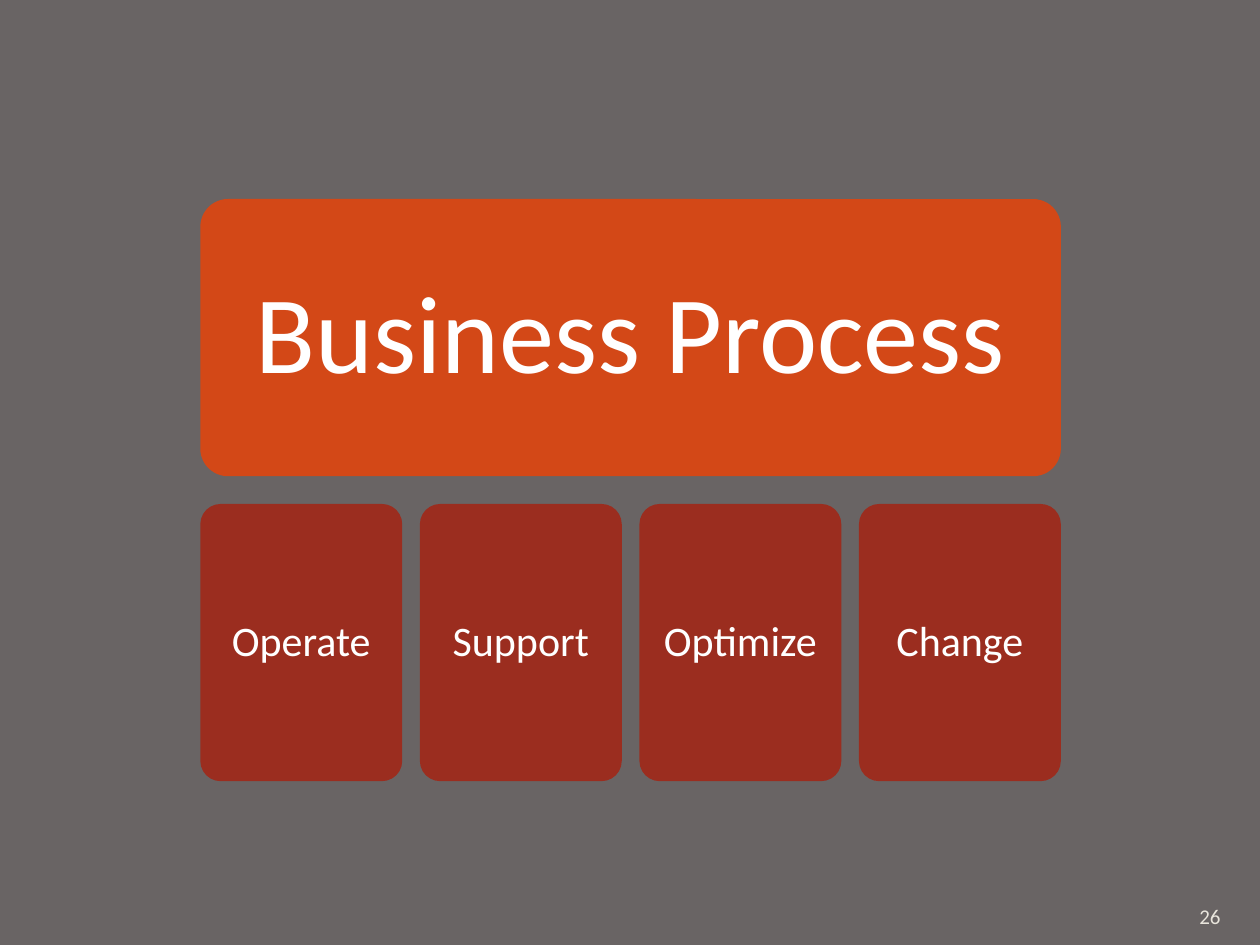
from pptx import Presentation
from pptx.dml.color import RGBColor
from pptx.enum.shapes import MSO_SHAPE
from pptx.enum.text import MSO_ANCHOR, PP_ALIGN
from pptx.util import Inches, Pt

GRAY = RGBColor(0x69, 0x64, 0x64)
ORANGE = RGBColor(0xD3, 0x48, 0x17)
RED = RGBColor(0x9B, 0x2D, 0x1F)
WHITE = RGBColor(0xFF, 0xFF, 0xFF)
CREAM = RGBColor(0xE9, 0xE5, 0xDC)
FONT = "Calibri"
ACTIVITIES = ["Operate", "Support", "Optimize", "Change"]


def format_text(para, size, color):
    """Format the runs of a paragraph."""
    for span in para.runs:
        span.font.name = FONT
        span.font.size = Pt(size)
        span.font.color.rgb = color


def add_card(page, box, label, fill, size, inset):
    """Add a rounded card with a centred label."""
    card = page.shapes.add_shape(MSO_SHAPE.ROUNDED_RECTANGLE, *box)
    card.adjustments[0] = 0.1
    card.shadow.inherit = False
    card.fill.solid()
    card.fill.fore_color.rgb = fill
    card.line.fill.background()

    frame = card.text_frame
    frame.word_wrap = True
    frame.vertical_anchor = MSO_ANCHOR.MIDDLE
    frame.margin_left = frame.margin_right = inset
    frame.margin_top = frame.margin_bottom = inset
    frame.text = label
    para = frame.paragraphs[0]
    para.alignment = PP_ALIGN.CENTER
    para.line_spacing = 0.9
    format_text(para, size, WHITE)


def add_process(page, left, top, width, height):
    """Fill the box with a header card above a row of activity cards."""
    row_gap, column_gap = Inches(0.22), Inches(0.14)
    row_height = (height - row_gap) // 2
    count = len(ACTIVITIES)
    card_width = (width - (count - 1) * column_gap) // count

    add_card(page, (left, top, width, row_height),
             "Business Process", ORANGE, 63, Inches(0.26))
    for index, activity in enumerate(ACTIVITIES):
        box = (left + index * (card_width + column_gap),
               top + row_height + row_gap, card_width, row_height)
        add_card(page, box, activity, RED, 24, Inches(0.1))


def add_page_number(page, left, top, width, height):
    """Add the page number in the corner."""
    frame = page.shapes.add_textbox(left, top, width, height).text_frame
    frame.word_wrap = True
    frame.vertical_anchor = MSO_ANCHOR.BOTTOM
    frame.text = "26"
    format_text(frame.paragraphs[0], 12, CREAM)


def main():
    deck = Presentation()
    deck.slide_width, deck.slide_height = Inches(10), Inches(7.5)
    page = deck.slides.add_slide(deck.slide_layouts[6])

    # Background
    page.background.fill.solid()
    page.background.fill.fore_color.rgb = GRAY

    # Content
    add_process(page, Inches(1.59), Inches(1.58), Inches(6.83), Inches(4.62))
    add_page_number(page, Inches(9.42), Inches(7.02), Inches(0.5), Inches(0.4))
    deck.save("out.pptx")


if __name__ == "__main__":
    main()
